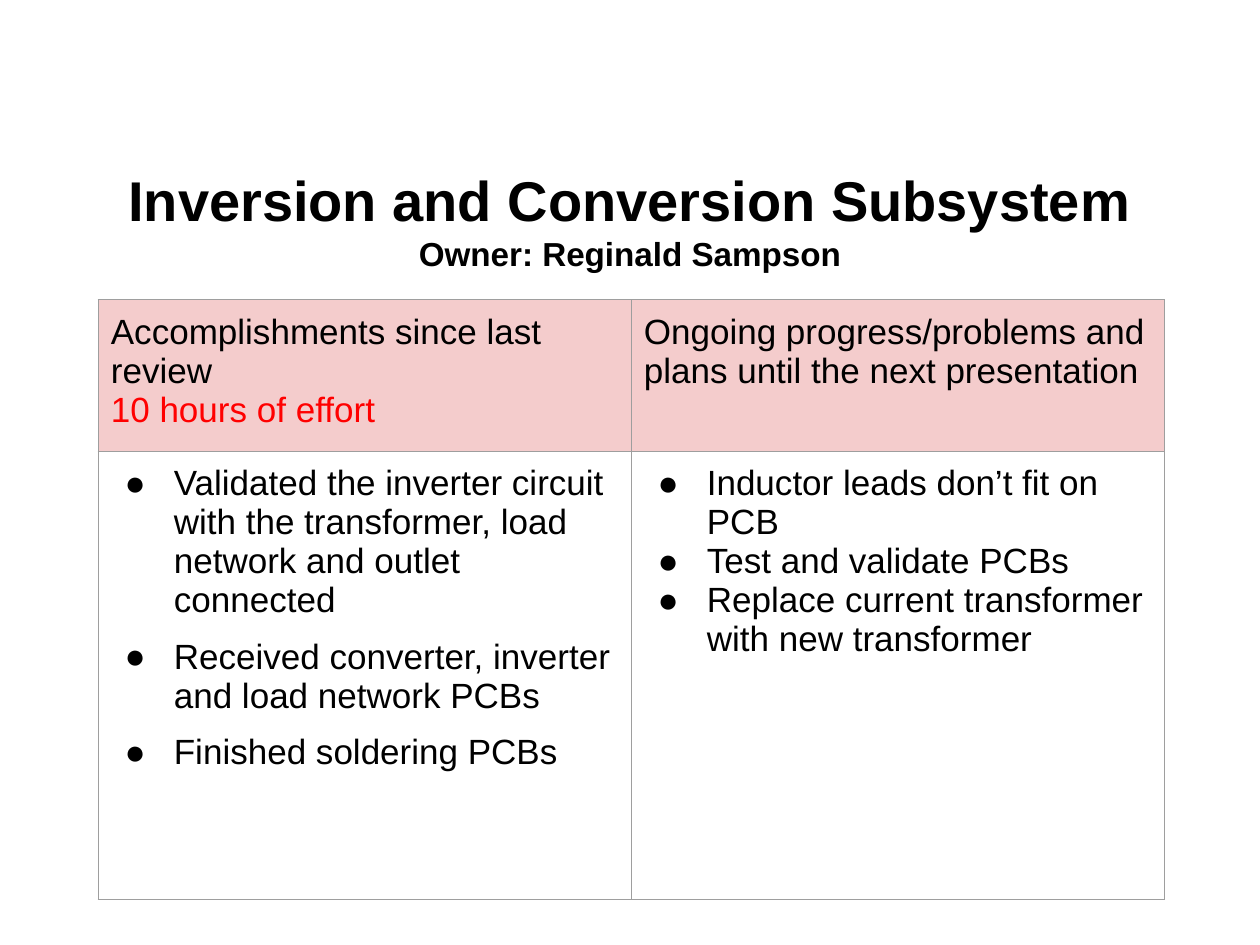
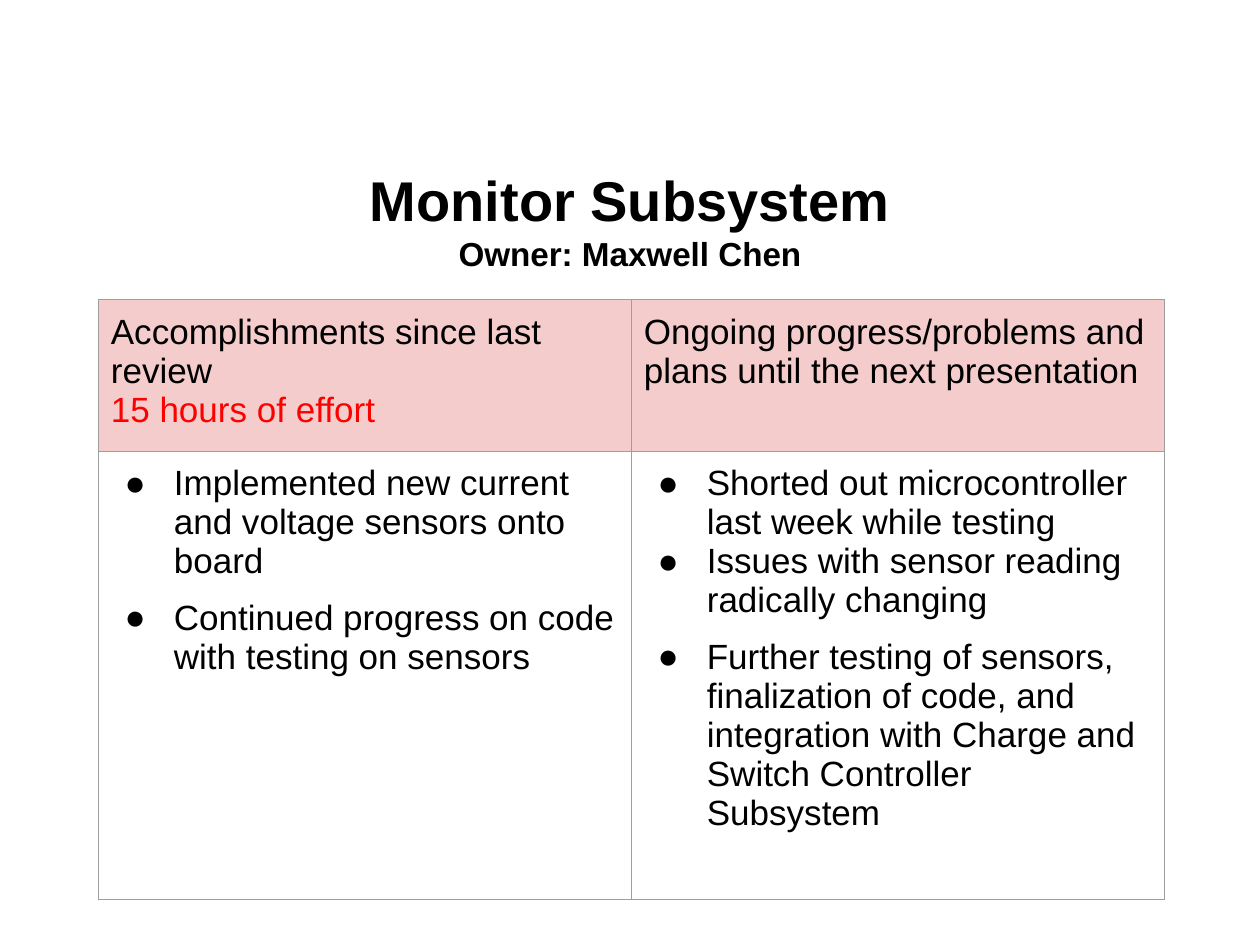
from lxml.etree import SubElement
from pptx import Presentation
from pptx.dml.color import RGBColor as RGB
from pptx.enum.text import MSO_ANCHOR as Anchor, PP_ALIGN as Align
from pptx.oxml import parse_xml
from pptx.oxml.ns import nsdecls, qn
from pptx.util import Inches, Pt

COLORS = {"text": "000000", "effort": "FF0000", "header": "F4CCCC", "border": "9E9E9E"}
TITLE = {"size": Pt(32), "bold": True, "name": "Arial"}
OWNER = {**TITLE, "size": Pt(19)}
BODY = {"size": Pt(20), "bold": False, "name": "Arial"}
TITLE_FRAME = {
    "word_wrap": True, "vertical_anchor": Anchor.MIDDLE,
    "margin_left": Inches(0.1), "margin_right": Inches(0.1),
    "margin_top": Inches(0.05), "margin_bottom": Inches(0.05),
}
CELL_MARGINS = {f"margin_{side}": Inches(0.1) for side in ("left", "right", "top", "bottom")}
COLUMN_WIDTH = 4.23
ROW_HEIGHTS = [0.94, 3.56]

SUBSYSTEMS = [
    {
        "title": "Inversion and Conversion Subsystem",
        "owner": "Reginald Sampson",
        "hours": 10,
        "accomplishments": [
            ("Validated the inverter circuit with the transformer, load network and outlet connected", 0),
            ("Received converter, inverter and load network PCBs", 10),
            ("Finished soldering PCBs", 10),
        ],
        "plans": [
            ("Inductor leads don’t fit on PCB", 0),
            ("Test and validate PCBs", 0),
            ("Replace current transformer with new transformer", 0),
        ],
    },
    {
        "title": "Monitor Subsystem",
        "owner": "Maxwell Chen",
        "hours": 15,
        "accomplishments": [
            ("Implemented new current and voltage sensors onto board", 0),
            ("Continued progress on code with testing on sensors", 10),
        ],
        "plans": [
            ("Shorted out microcontroller last week while testing", 0),
            ("Issues with sensor reading radically changing", 0),
            ("Further testing of sensors, finalization of code, and integration with "
             "Charge and Switch Controller Subsystem", 10),
        ],
    },
]


def add_line(frame, index, text, font_format, color="text"):
    paragraph = frame.paragraphs[0] if index == 0 else frame.add_paragraph()
    run = paragraph.add_run()
    run.text = text
    for name, value in font_format.items():
        setattr(run.font, name, value)
    run.font.color.rgb = RGB.from_string(COLORS[color])
    return paragraph


def add_bullet(paragraph):
    properties = paragraph._p.get_or_add_pPr()
    properties.set("marL", str(Inches(0.5)))
    properties.set("indent", str(Inches(-0.39)))
    bullet_color = SubElement(properties, qn("a:buClr"))
    SubElement(bullet_color, qn("a:srgbClr"), val=COLORS["text"])
    SubElement(properties, qn("a:buFont"), typeface="Arial")
    SubElement(properties, qn("a:buChar"), char="●")


presentation = Presentation()
presentation.slide_width = Inches(10)
presentation.slide_height = Inches(7.5)

for subsystem in SUBSYSTEMS:
    slide = presentation.slides.add_slide(presentation.slide_layouts[6])

    title_box = slide.shapes.add_textbox(Inches(0.5), Inches(1.15), Inches(9), Inches(1.18))
    for name, value in TITLE_FRAME.items():
        setattr(title_box.text_frame, name, value)
    title_lines = [(subsystem["title"], TITLE), (f"Owner: {subsystem['owner']}", OWNER)]
    for index, (text, font_format) in enumerate(title_lines):
        add_line(title_box.text_frame, index, text, font_format).alignment = Align.CENTER

    table = slide.shapes.add_table(
        2, 2, Inches(0.78), Inches(2.38), Inches(2 * COLUMN_WIDTH), Inches(sum(ROW_HEIGHTS))
    ).table
    table.first_row = False
    table.horz_banding = False
    for column in table.columns:
        column.width = Inches(COLUMN_WIDTH)
    for row, height in zip(table.rows, ROW_HEIGHTS):
        row.height = Inches(height)

    for cell in table.iter_cells():
        for name, value in CELL_MARGINS.items():
            setattr(cell, name, value)
        cell_properties = cell._tc.get_or_add_tcPr()
        for side in "LRTB":
            cell_properties.append(parse_xml(
                f'<a:ln{side} {nsdecls("a")} w="{Pt(0.75)}"><a:solidFill>'
                f'<a:srgbClr val="{COLORS["border"]}"/></a:solidFill></a:ln{side}>'
            ))

    headers = [
        [("Accomplishments since last review", "text"),
         (f"{subsystem['hours']} hours of effort", "effort")],
        [("Ongoing progress/problems and plans until the next presentation", "text")],
    ]
    for column_index, lines in enumerate(headers):
        cell = table.cell(0, column_index)
        cell.fill.solid()
        cell.fill.fore_color.rgb = RGB.from_string(COLORS["header"])
        for index, (text, color) in enumerate(lines):
            add_line(cell.text_frame, index, text, BODY, color)

    for column_index, key in enumerate(["accomplishments", "plans"]):
        cell = table.cell(1, column_index)
        cell.fill.background()
        for index, (text, space_before) in enumerate(subsystem[key]):
            paragraph = add_line(cell.text_frame, index, text, BODY)
            add_bullet(paragraph)
            paragraph.space_before = Pt(space_before)

presentation.save("out.pptx")
